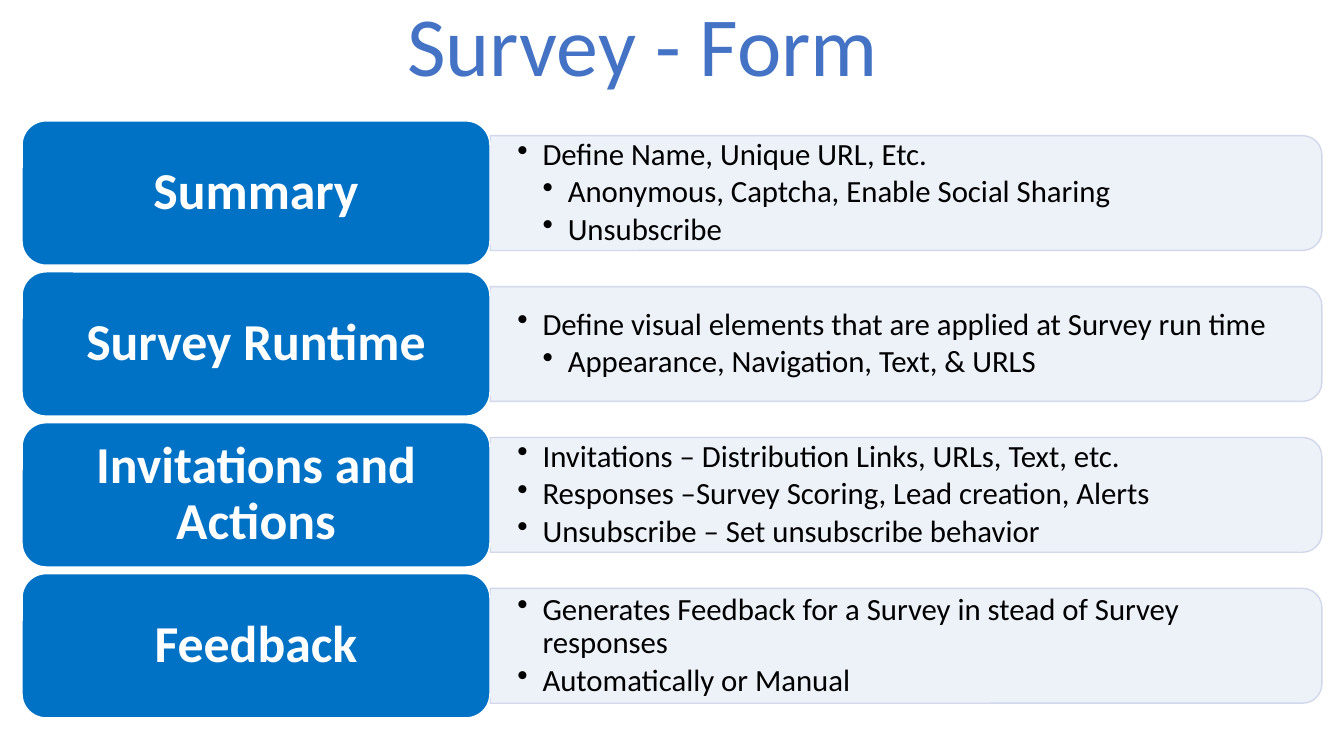
"""Build the Survey - Form slide: four labelled rows with bulleted details."""
from dataclasses import dataclass

from lxml import etree
from pptx import Presentation
from pptx import util as u
from pptx.dml.color import RGBColor
from pptx.enum import shapes, text
from pptx.oxml.ns import qn

TITLE = "Survey - Form"
ROWS = [
    ("Summary", [
        (1, "Define Name, Unique URL, Etc."),
        (2, "Anonymous, Captcha, Enable Social Sharing"),
        (2, "Unsubscribe"),
    ]),
    ("Survey Runtime", [
        (1, "Define visual elements that are applied at Survey run time"),
        (2, "Appearance, Navigation, Text, & URLS"),
    ]),
    ("Invitations and Actions", [
        (1, "Invitations – Distribution Links, URLs, Text, etc."),
        (1, "Responses –Survey Scoring, Lead creation, Alerts"),
        (1, "Unsubscribe – Set unsubscribe behavior"),
    ]),
    ("Feedback", [
        (1, "Generates Feedback for a Survey in stead of Survey responses"),
        (1, "Automatically or Manual"),
    ]),
]


@dataclass(frozen=True)
class Theme:
    """Colours, font and type sizes."""
    font: str = "Calibri"
    title: str = "4472C4"
    label: str = "0072C6"
    band: str = "ECF1F9"
    edge: str = "CFD5EA"
    white: str = "FFFFFF"
    black: str = "000000"
    title_size: int = 60
    label_size: int = 37
    body_size: int = 22


THEME = Theme()
LABEL_LEFT, LABEL_TOP, LABEL_WIDTH, LABEL_HEIGHT = 15.8, 86.4, 334.2, 103
ROW_PITCH = 107.8
BAND_LEFT, BAND_WIDTH, BAND_HEIGHT = LABEL_LEFT + LABEL_WIDTH + 0.2, 594, 82
BODY_WIDTH, BODY_HEIGHT = 590.4, 74.2
INDENT = 18
KIND = shapes.MSO_SHAPE


def add_block(page, kind, frame, fill, line=None):
    left, top, width, height = (u.Pt(value) for value in frame)
    box = page.shapes.add_shape(kind, left, top, width, height)
    box.shadow.inherit = False
    box.fill.solid()
    box.fill.fore_color.rgb = RGBColor.from_string(fill)
    if line:
        box.line.color.rgb = RGBColor.from_string(line)
        box.line.width = u.Pt(1)
    else:
        box.line.fill.background()
    return box


def write(box, lines, *, size, color, insets, bold=False, bullets=False):
    frame = box.text_frame
    frame.word_wrap = True
    frame.vertical_anchor = text.MSO_ANCHOR.MIDDLE
    frame.margin_left = frame.margin_right = u.Pt(insets[0])
    frame.margin_top = frame.margin_bottom = u.Pt(insets[1])
    for index, (level, words) in enumerate(lines):
        para = frame.add_paragraph() if index else frame.paragraphs[0]
        para.alignment = text.PP_ALIGN.LEFT if bullets else text.PP_ALIGN.CENTER
        para.line_spacing = 0.9
        if index:
            para.space_before = u.Pt(3)
        if bullets:
            para.level = level - 1
            props = para._p.get_or_add_pPr()
            props.set("marL", str(u.Pt(level * INDENT)))
            props.set("indent", str(-u.Pt(INDENT)))
            etree.SubElement(props, qn("a:buChar")).set("char", "•")
        span = para.add_run()
        span.text = words
        span.font.name = THEME.font
        span.font.size = u.Pt(size)
        span.font.bold = bold
        span.font.color.rgb = RGBColor.from_string(color)


def add_band(page, middle):
    center = BAND_LEFT + BAND_WIDTH / 2
    frame = (center - BAND_HEIGHT / 2, middle - BAND_WIDTH / 2, BAND_HEIGHT, BAND_WIDTH)
    band = add_block(page, KIND.ROUND_2_SAME_RECTANGLE, frame, THEME.band, THEME.edge)
    band.rotation = 90
    for color in band._element.spPr.iter(qn("a:srgbClr")):
        etree.SubElement(color, qn("a:alpha")).set("val", "90000")


def add_row(page, index, label, details):
    top = LABEL_TOP + index * ROW_PITCH
    middle = top + LABEL_HEIGHT / 2
    add_band(page, middle)
    body = page.shapes.add_textbox(
        u.Pt(BAND_LEFT), u.Pt(middle - BODY_HEIGHT / 2), u.Pt(BODY_WIDTH), u.Pt(BODY_HEIGHT))
    write(body, details, size=THEME.body_size, color=THEME.black,
          insets=(19.4, 10), bullets=True)
    tile = add_block(page, KIND.ROUNDED_RECTANGLE,
                     (LABEL_LEFT, top, LABEL_WIDTH, LABEL_HEIGHT), THEME.label, THEME.white)
    write(tile, [(1, label)], size=THEME.label_size, color=THEME.white,
          insets=(10.8, 5.8), bold=True)


def main():
    deck = Presentation()
    deck.slide_width, deck.slide_height = u.Pt(960), u.Pt(540)
    page = deck.slides.add_slide(deck.slide_layouts[6])
    heading = add_block(page, KIND.RECTANGLE, (0, 0, 918, 70.6), THEME.white)
    write(heading, [(1, TITLE)], size=THEME.title_size, color=THEME.title, insets=(11.5, 7.2))
    for index, (label, details) in enumerate(ROWS):
        add_row(page, index, label, details)
    deck.save("out.pptx")


if __name__ == "__main__":
    main()
